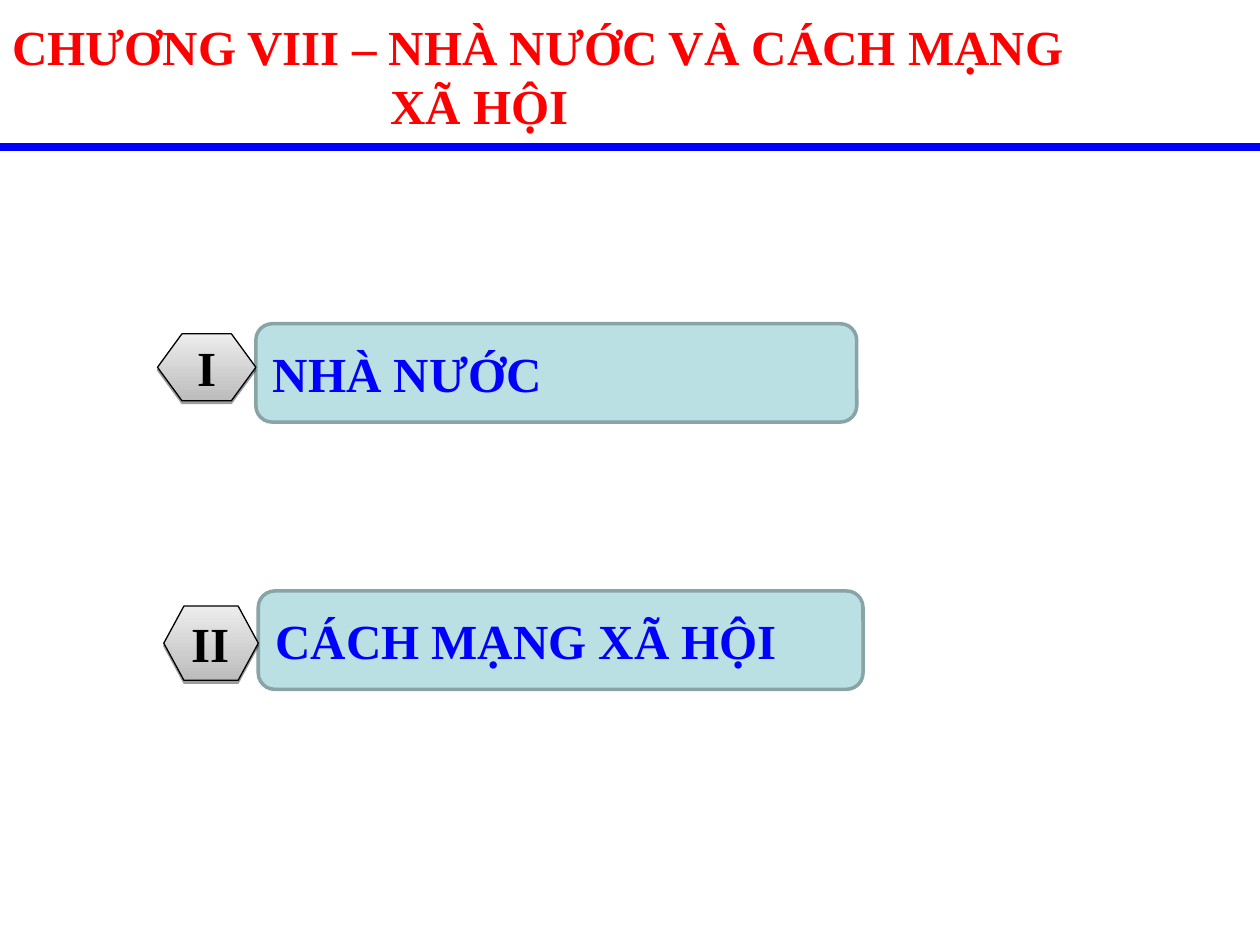
from dataclasses import dataclass

from lxml import etree
from pptx import Presentation
from pptx.dml.color import RGBColor
from pptx.enum import shapes as sh, text as tx
from pptx.oxml import ns
from pptx.util import Pt

FONT = "Times New Roman"
HEX = {
    "title": "FF0000", "blue": "0000FF", "bar": "BBE0E3", "edge": "89A4A7",
    "black": "000000", "dark": "BCBCBC", "light": "EDEDED",
}


@dataclass
class Box:
    x: float
    y: float
    w: float
    h: float

    def pts(self) -> list:
        return [Pt(v) for v in (self.x, self.y, self.w, self.h)]


@dataclass
class Item:
    mark: str
    label: str
    bar: Box
    hexa: Box
    adj: float


ITEMS = [
    Item("I", "NHÀ NƯỚC", Box(146.2, 185, 343.4, 56.2),
         Box(90, 190.8, 56.2, 38.2), 0.365),
    Item("II", "CÁCH MẠNG XÃ HỘI", Box(147.6, 337.7, 345.6, 56.2),
         Box(93.6, 346.3, 54, 42.5), 0.271),
]


def color(name: str) -> RGBColor:
    return RGBColor.from_string(HEX[name])


def write(shape, *lines: str, hue: str = "black", size: float = 28,
          align=tx.PP_ALIGN.JUSTIFY, anchor=tx.MSO_ANCHOR.MIDDLE) -> list:
    """Fill a shape with bold lines and return the paragraphs."""
    frame = shape.text_frame
    frame.word_wrap = True
    frame.vertical_anchor = anchor
    frame.text = "\n".join(lines)
    for para in frame.paragraphs:
        para.alignment = align
        font = para.runs[0].font
        font.name, font.size, font.bold = FONT, Pt(size), True
        font.color.rgb = color(hue)
    return list(frame.paragraphs)


def effects(shape):
    """Give the shape an empty effect list, so no theme shadow shows."""
    return etree.SubElement(shape._element.spPr, ns.qn("a:effectLst"))


def draw_shape(group, kind, box: Box, adj: float, edge: str, width: float):
    shape = group.shapes.add_shape(kind, *box.pts())
    shape.adjustments[0] = adj
    shape.line.color.rgb = color(edge)
    shape.line.width = Pt(width)
    shape.shadow.inherit = False
    return shape


def draw_item(slide, item: Item) -> None:
    group = slide.shapes.add_group_shape()

    # Label bar
    bar = draw_shape(group, sh.MSO_SHAPE.ROUNDED_RECTANGLE, item.bar,
                     0.167, "edge", 2)
    bar.fill.solid()
    bar.fill.fore_color.rgb = color("bar")
    write(bar, item.label, hue="blue")

    # Numeral hexagon, lighter at the top
    hexa = draw_shape(group, sh.MSO_SHAPE.HEXAGON, item.hexa,
                      item.adj, "black", 0.75)
    hexa.fill.gradient()
    hexa.fill.gradient_angle = 90
    for stop, name in zip(hexa.fill.gradient_stops, ("dark", "light")):
        stop.color.rgb = color(name)
    write(hexa, item.mark, align=tx.PP_ALIGN.CENTER)

    # Hard shadow just below the hexagon
    glow = hexa._element.spPr.find(ns.qn("a:effectLst"))
    drop = etree.SubElement(glow, ns.qn("a:outerShdw"), blurRad="0",
                            dist=str(Pt(1.6)), dir="5400000", rotWithShape="0")
    tint = etree.SubElement(drop, ns.qn("a:srgbClr"), val=HEX["black"])
    etree.SubElement(tint, ns.qn("a:alpha"), val="38000")


def main() -> None:
    deck = Presentation()
    deck.slide_width, deck.slide_height = Pt(720), Pt(540)
    slide = deck.slides.add_slide(deck.slide_layouts[6])

    # Rule under the title
    rule = slide.shapes.add_connector(sh.MSO_CONNECTOR.STRAIGHT,
                                      Pt(0), Pt(84.2), Pt(720), Pt(84.2))
    rule.line.color.rgb = color("blue")
    rule.line.width = Pt(4.5)
    effects(rule)

    # Title, second line indented
    title = slide.shapes.add_textbox(*Box(0, 5.8, 720, 74.9).pts())
    paras = write(title, "CHƯƠNG VIII – NHÀ NƯỚC VÀ CÁCH MẠNG", "XÃ HỘI",
                  hue="title", anchor=tx.MSO_ANCHOR.TOP)
    paras[1]._p.get_or_add_pPr().set("marL", str(Pt(216)))

    # Chapter sections
    for item in ITEMS:
        draw_item(slide, item)

    deck.save("out.pptx")


if __name__ == "__main__":
    main()
